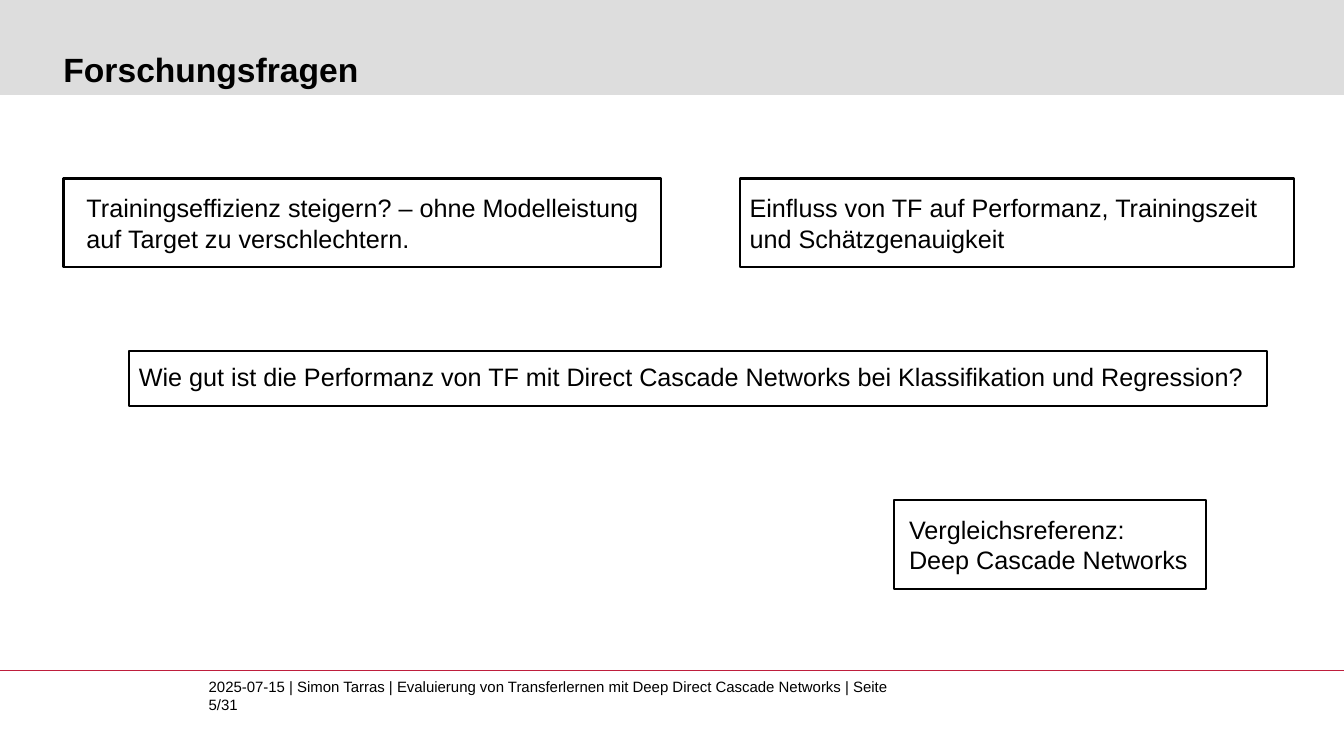
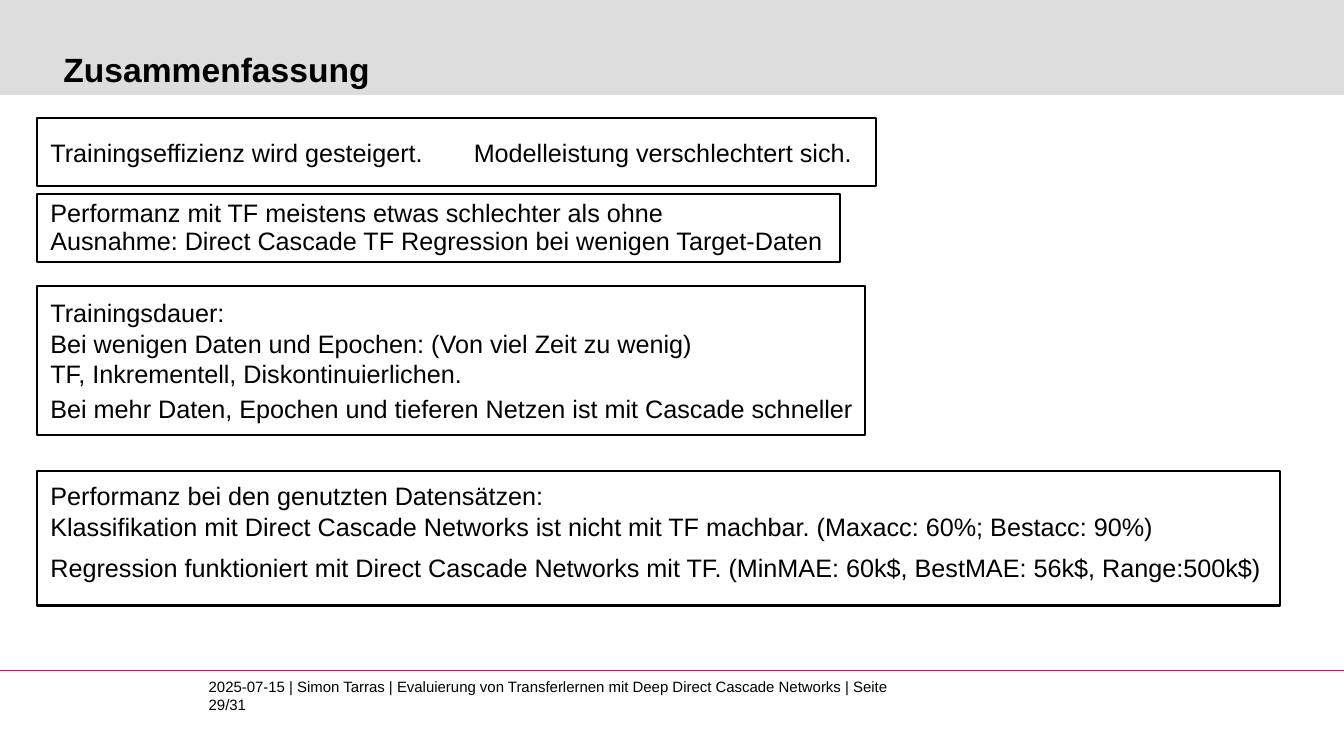
from dataclasses import dataclass

from lxml import etree
from pptx import Presentation
from pptx.dml.color import RGBColor
from pptx.enum.shapes import MSO_CONNECTOR, MSO_SHAPE
from pptx.enum.text import MSO_ANCHOR, MSO_AUTO_SIZE, PP_ALIGN
from pptx.oxml.ns import qn
from pptx.util import Cm, Pt

RECT = MSO_SHAPE.RECTANGLE
LINE = MSO_CONNECTOR.STRAIGHT
TOP, MIDDLE, BOTTOM = MSO_ANCHOR.TOP, MSO_ANCHOR.MIDDLE, MSO_ANCHOR.BOTTOM
LEFT = PP_ALIGN.LEFT
FIXED = MSO_AUTO_SIZE.NONE


@dataclass(frozen=True)
class Theme:
    ink: RGBColor = RGBColor.from_string("000000")
    band: RGBColor = RGBColor.from_string("DDDDDD")
    rule: RGBColor = RGBColor.from_string("BE1E3C")
    face: str = "Arial"
    head: float = 24
    body: float = 18
    foot: float = 10.7
    pitch: float = 21.6
    tight: float = 19.4
    thin: float = 0.75
    edge: float = 1.5


THEME = Theme()
WIDE, HIGH = 33.87, 19.05
BAND = (0, 0, WIDE, 2.39)
TITLE = (1.6, 0.3, 31.01, 1.96)
FOOT = (5.26, 17.07, 17.3, 1.37)
RULE = 16.89
CREDIT = "2025-07-15 | Simon Tarras | Evaluierung von Transferlernen mit Deep Direct Cascade Networks | Seite {}/31"

PAGES = [
    dict(
        title="Forschungsfragen", page=5, origin=(1.6, 4.5),
        notes=[
            dict(box=(0, 0, 15.06, 2.24), pad=0.58, lines=[
                "Trainingseffizienz steigern? – ohne Modelleistung",
                "auf Target zu verschlechtern."]),
            dict(box=(17.04, 0, 13.97, 2.24), pad=0.25, lines=[
                "Einfluss von TF auf Performanz, Trainingszeit",
                "und Schätzgenauigkeit"]),
            dict(box=(1.65, 4.34, 28.68, 1.4), pad=0.25, base=0.12, lines=[
                "Wie gut ist die Performanz von TF mit Direct Cascade Networks bei Klassifikation und Regression?"]),
            dict(box=(20.93, 8.1, 7.87, 2.24), pad=0.38, lines=[
                "Vergleichsreferenz:",
                "Deep Cascade Networks"]),
        ],
    ),
    dict(
        title="Zusammenfassung", page=29, origin=(0.94, 2.97),
        notes=[
            dict(box=(0, 0, 21.13, 1.73), tab=10.67, lines=[
                "Trainingseffizienz wird gesteigert.\tModelleistung verschlechtert sich."]),
            dict(box=(0, 1.91, 20.24, 1.73), pitch=THEME.tight, lines=[
                "Performanz mit TF meistens etwas schlechter als ohne",
                "Ausnahme: Direct Cascade TF Regression bei wenigen Target-Daten"]),
            dict(box=(0, 4.24, 20.85, 3.76), gap=3.6, lines=[
                "Trainingsdauer:",
                "Bei wenigen Daten und Epochen: (Von viel Zeit zu wenig)",
                "TF, Inkrementell, Diskontinuierlichen.",
                "Bei mehr Daten, Epochen und tieferen Netzen ist mit Cascade schneller"]),
            dict(box=(0, 8.89, 31.32, 3.4), gap=7.9, base=0.33, lines=[
                "Performanz bei den genutzten Datensätzen:",
                "Klassifikation mit Direct Cascade Networks ist nicht mit TF machbar. (Maxacc: 60%; Bestacc: 90%)",
                "Regression funktioniert mit Direct Cascade Networks mit TF. (MinMAE: 60k$, BestMAE: 56k$, Range:500k$)"]),
        ],
    ),
]


def apply(item, values):
    for name, value in values.items():
        setattr(item, name, value)


def place(box):
    return [Cm(size) for size in box]


def write(shape, lines, size, pitch=None, bold=False, anchor=TOP, pad=0, base=0):
    frame = shape.text_frame
    apply(frame, dict(
        word_wrap=True, auto_size=FIXED, vertical_anchor=anchor,
        margin_left=Cm(pad), margin_right=0, margin_top=0, margin_bottom=Cm(base)))
    for index, line in enumerate(lines):
        para = frame.add_paragraph() if index else frame.paragraphs[0]
        apply(para, dict(alignment=LEFT, line_spacing=Pt(pitch) if pitch else 1.0))
        run = para.add_run()
        run.text = line
        apply(run.font, dict(name=THEME.face, size=Pt(size), bold=bold))
        run.font.color.rgb = THEME.ink
    return frame.paragraphs


def add_tab(para, stop):
    tabs = etree.SubElement(para._p.get_or_add_pPr(), qn("a:tabLst"))
    etree.SubElement(tabs, qn("a:tab"), pos=str(Cm(stop)), algn="l")


def add_note(slide, origin, box, lines, pad=0.33, base=0, pitch=THEME.pitch, gap=0, tab=None):
    left, top, width, height = box
    shape = slide.shapes.add_shape(
        RECT, *place((origin[0] + left, origin[1] + top, width, height)))
    shape.shadow.inherit = False
    shape.fill.background()
    shape.line.color.rgb = THEME.ink
    shape.line.width = Pt(THEME.edge)
    paras = write(shape, lines, THEME.body, pitch, anchor=MIDDLE, pad=pad, base=base)
    if gap:
        paras[-1].space_before = Pt(gap)
    if tab:
        add_tab(paras[0], tab)


def add_decor(slide):
    band = slide.shapes.add_shape(RECT, *place(BAND))
    band.shadow.inherit = False
    band.fill.solid()
    band.fill.fore_color.rgb = THEME.band
    band.line.fill.background()
    rule = slide.shapes.add_connector(LINE, *place((0, RULE, WIDE, RULE)))
    rule.line.color.rgb = THEME.rule
    rule.line.width = Pt(THEME.thin)
    etree.SubElement(rule.element.spPr, qn("a:effectLst"))
    for part in (band, rule):
        slide.slide_layout.shapes.element.append(part.element)


def add_page(deck, layout, title, page, origin, notes):
    slide = deck.slides.add_slide(layout)
    head = slide.shapes.title
    apply(head, dict(zip(("left", "top", "width", "height"), place(TITLE))))
    write(head, [title], THEME.head, bold=True, anchor=BOTTOM)
    foot = slide.shapes.add_textbox(*place(FOOT))
    write(foot, [CREDIT.format(page)], THEME.foot, pitch=12.8)
    for note in notes:
        add_note(slide, origin, **note)
    return slide


def main():
    deck = Presentation()
    apply(deck, dict(slide_width=Cm(WIDE), slide_height=Cm(HIGH)))
    layout = deck.slide_layouts[5]
    slides = [add_page(deck, layout, **page) for page in PAGES]
    add_decor(slides[0])
    deck.save("out.pptx")


if __name__ == "__main__":
    main()
